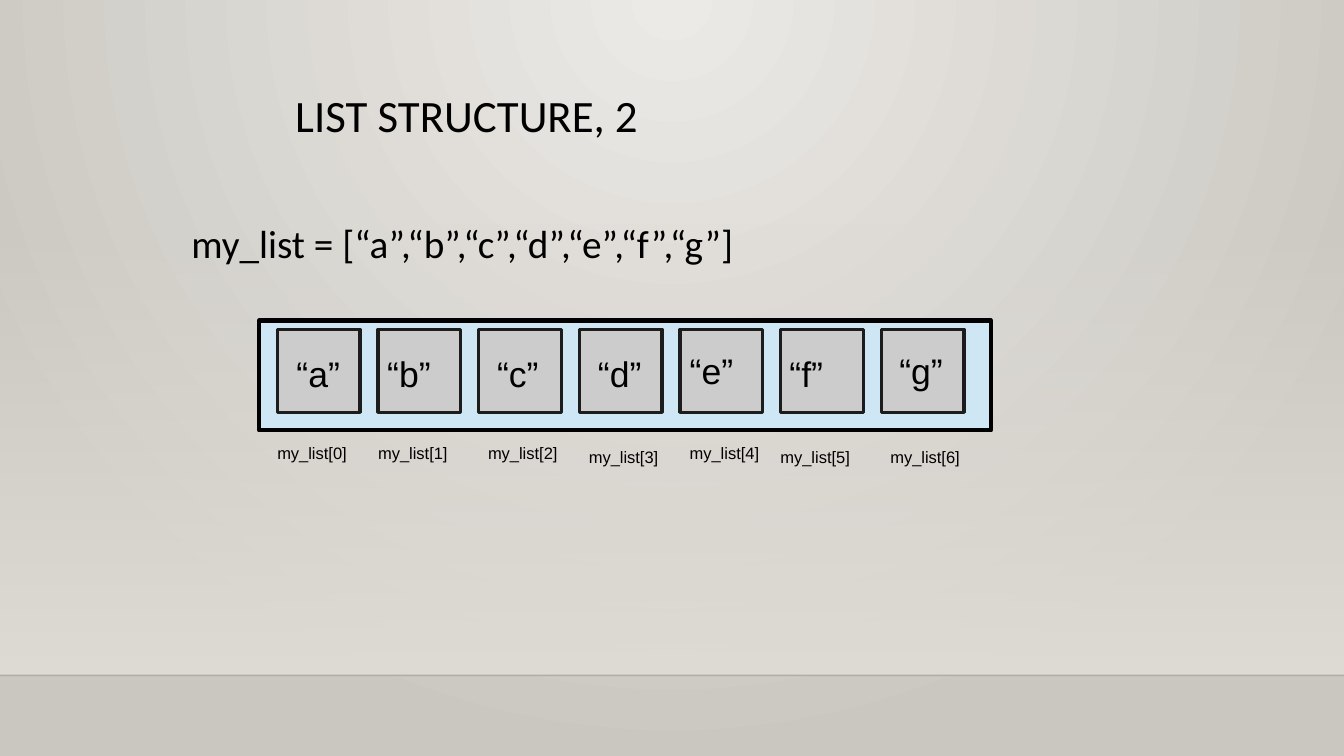
import pptx
import pptx.util
import pptx.dml.color
import pptx.enum.shapes
import pptx.enum.text
import pptx.oxml
import pptx.oxml.ns
import lxml.etree

Inches = pptx.util.Inches
Pt = pptx.util.Pt
RGBColor = pptx.dml.color.RGBColor
qn = pptx.oxml.ns.qn
RECTANGLE = pptx.enum.shapes.MSO_SHAPE.RECTANGLE

COLORS = {
    "glow": "ECEAE7",
    "wall": "CAC7C1",
    "haze": "DFDBD5",
    "floor line": "000001",
    "black": "000000",
    "list": "CFE7F5",
    "cell": "CCCCCC",
    "cell line": "1C1C1C",
}


def add_text(left, top, width, height, text, size, font, wrap=True):
    box = page.shapes.add_textbox(Inches(left), Inches(top), Inches(width), Inches(height))
    frame = box.text_frame
    frame.word_wrap = wrap
    if not wrap:
        frame.auto_size = pptx.enum.text.MSO_AUTO_SIZE.SHAPE_TO_FIT_TEXT
        frame.margin_left = frame.margin_right = Inches(0.09)
        frame.margin_top = frame.margin_bottom = Inches(0.04)
    para = frame.paragraphs[0]
    span = para.add_run()
    span.text = text
    span.font.size = Pt(size)
    span.font.name = font
    span.font.color.rgb = RGBColor.from_string(COLORS["black"])
    return para


def add_box(left, top, width, height, fill, line, weight):
    box = page.shapes.add_shape(RECTANGLE, Inches(left), Inches(top), Inches(width), Inches(height))
    box.shadow.inherit = False
    box.fill.solid()
    box.fill.fore_color.rgb = RGBColor.from_string(COLORS[fill])
    box.line.color.rgb = RGBColor.from_string(COLORS[line])
    box.line.width = Pt(weight)


deck = pptx.Presentation()
deck.slide_width = Inches(13.33)
deck.slide_height = Inches(7.5)
page = deck.slides.add_slide(deck.slide_layouts[6])

backdrop = page.background.fill
backdrop.gradient()
for stop, position, name in zip(backdrop.gradient_stops, (0, 1), ("glow", "wall")):
    stop.position = position
    stop.color.rgb = RGBColor.from_string(COLORS[name])
linear = next(page.background._cSld.iter(qn("a:lin")))
radial = pptx.oxml.parse_xml(
    '<a:path xmlns:a="http://schemas.openxmlformats.org/drawingml/2006/main" path="circle">'
    '<a:fillToRect l="43000" t="0" r="43000" b="100000"/></a:path>'
)
linear.getparent().replace(linear, radial)

haze = page.shapes.add_shape(RECTANGLE, 0, Inches(2.21), Inches(13.33), Inches(4.49))
haze.shadow.inherit = False
haze.line.fill.background()
haze.fill.gradient()
haze.fill.gradient_angle = 270
for stop, position in zip(haze.fill.gradient_stops, (0, 1)):
    stop.position = position
    stop.color.rgb = RGBColor.from_string(COLORS["haze"])
clear_color = next(haze._element.spPr.iter(qn("a:srgbClr")))
lxml.etree.SubElement(clear_color, qn("a:alpha")).set("val", "0")

floor = page.shapes.add_connector(
    pptx.enum.shapes.MSO_CONNECTOR.STRAIGHT, 0, Inches(6.7), Inches(13.33), Inches(6.7)
)
floor.line.width = Pt(1)
floor.line.color.rgb = RGBColor.from_string(COLORS["floor line"])
floor_color = next(floor._element.spPr.iter(qn("a:srgbClr")))
lxml.etree.SubElement(floor_color, qn("a:alpha")).set("val", "20000")
lxml.etree.SubElement(floor._element.spPr, qn("a:effectLst"))

title = add_text(2.83, 0.88, 10.5, 1.15, "LIST STRUCTURE, 2", 32, "Calibri")
title.line_spacing = 0.9

letters = "abcdefg"
quoted = [f"“{letter}”" for letter in letters]
statement = add_text(1.8, 2.03, 10.5, 3.77, f"my_list = [{','.join(quoted)}]", 28, "Calibri")
statement.line_spacing = 1.2
statement.space_before = Pt(10)

add_box(2.57, 3.18, 7.26, 1.09, "list", "black", 3)
for index in range(len(letters)):
    add_box(2.75 + index * 0.9985, 3.27, 0.82, 0.82, "cell", "cell line", 2.5)

label_places = [(2.66, 4.35), (3.66, 4.35), (4.75, 4.35), (5.75, 4.39), (6.75, 4.35), (7.65, 4.39), (8.74, 4.39)]
for index, (left, top) in enumerate(label_places):
    add_text(left, top, 0.88, 0.28, f"my_list[{index}]", 11.8, "Arial", wrap=False)

value_places = [
    (2.85, 3.45, 0.62), (3.75, 3.45, 0.62), (4.84, 3.45, 0.6), (5.84, 3.45, 0.62),
    (6.75, 3.42, 0.62), (7.74, 3.45, 0.52), (8.83, 3.42, 0.62),
]
for value, (left, top, width) in zip(quoted, value_places):
    add_text(left, top, width, 0.5, value, 25.4, "Arial", wrap=False)

deck.save("out.pptx")
